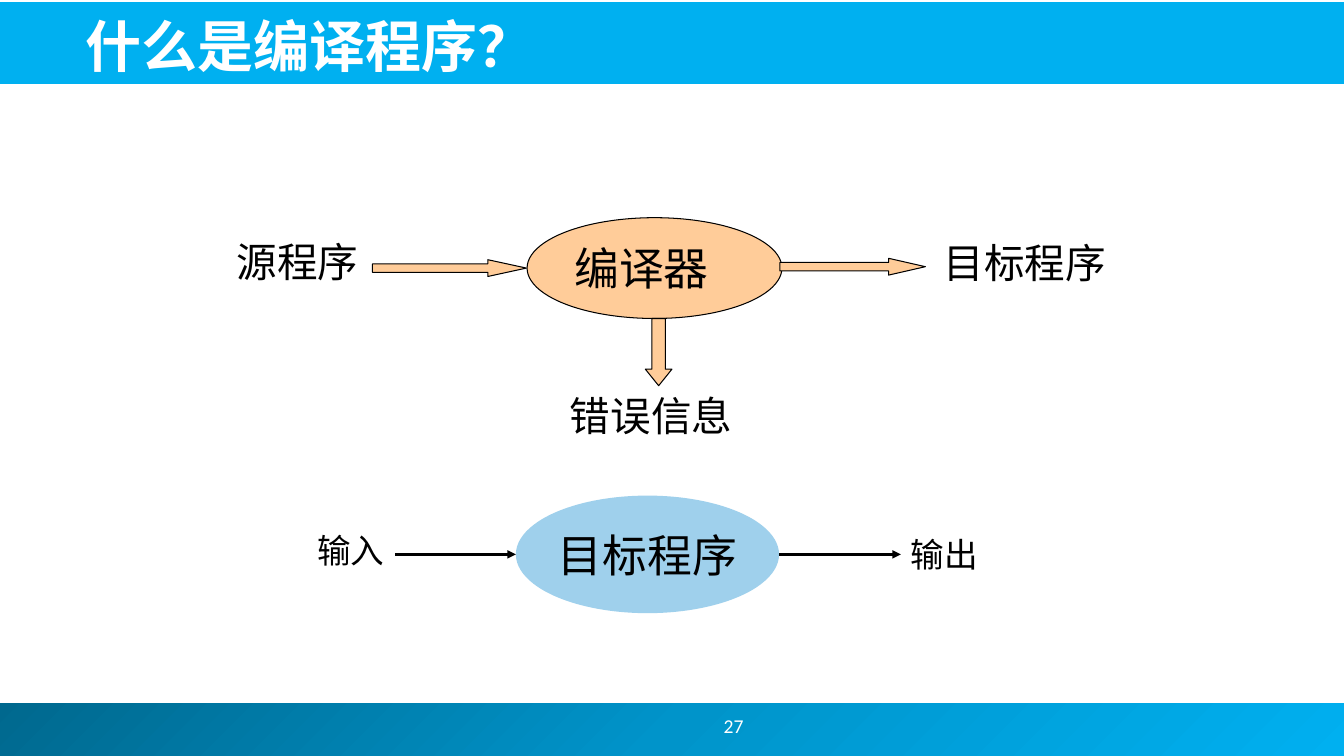
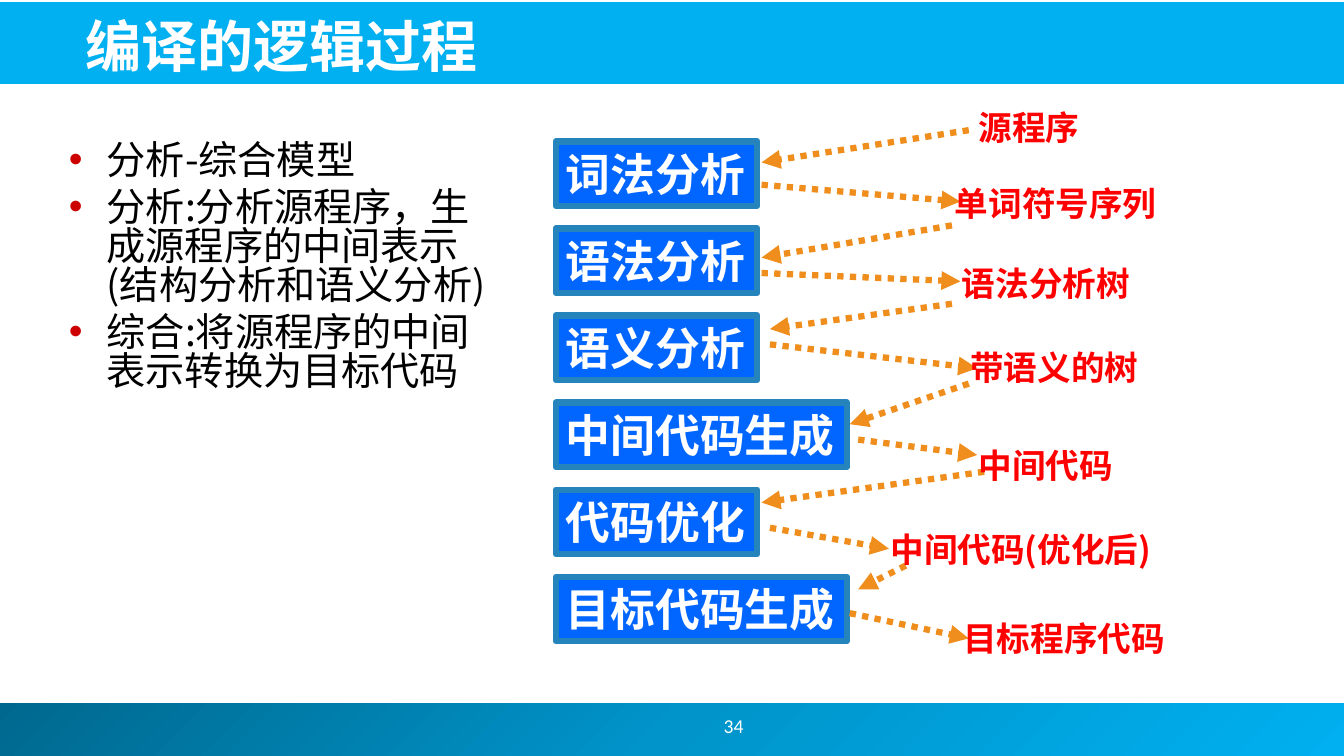
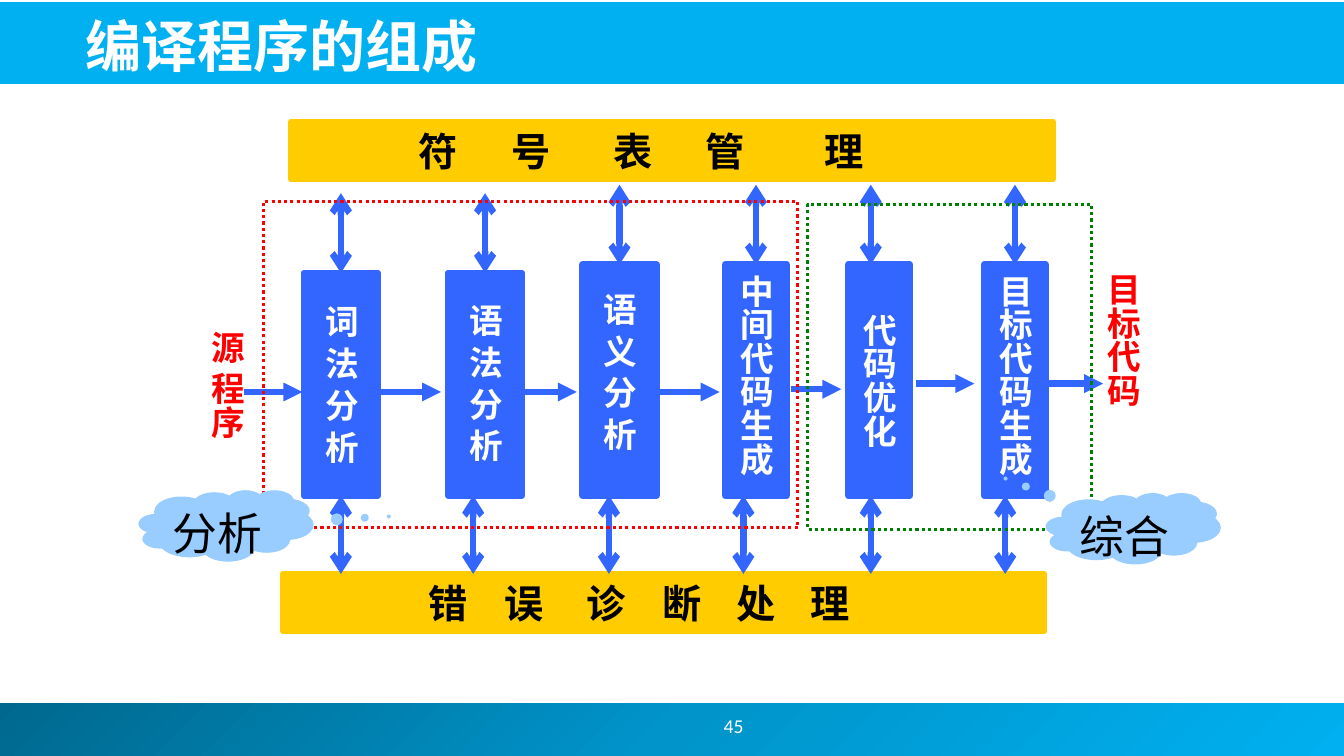
from lxml import etree
from pptx import Presentation
from pptx.dml.color import RGBColor
from pptx.enum.dml import MSO_LINE
from pptx.enum.shapes import MSO_CONNECTOR, MSO_SHAPE
from pptx.enum.text import MSO_ANCHOR, MSO_AUTO_SIZE, PP_ALIGN
from pptx.oxml.ns import qn
from pptx.util import Pt

RECT, OVAL, CLOUD = MSO_SHAPE.RECTANGLE, MSO_SHAPE.OVAL, MSO_SHAPE.CLOUD_CALLOUT
RIGHT_ARROW, DOWN_ARROW = MSO_SHAPE.RIGHT_ARROW, MSO_SHAPE.DOWN_ARROW
STRAIGHT, DOTTED = MSO_CONNECTOR.STRAIGHT, MSO_LINE.ROUND_DOT
LEFT, CENTER = PP_ALIGN.LEFT, PP_ALIGN.CENTER
TOP, MIDDLE = MSO_ANCHOR.TOP, MSO_ANCHOR.MIDDLE
NO_AUTOFIT = MSO_AUTO_SIZE.NONE
SIDE_TOP, SIDE_BOTTOM = 0, 2
TITLE_ONLY, TITLE_AND_BODY = 5, 1

WIDTH, HEIGHT = 960, 540
JP, SC, SANS = "Noto Sans CJK JP", "Noto Sans CJK SC", "Noto Sans"
SERIF, LATIN = "Times New Roman", "Calibri"
WHITE, BLACK, RED, GREEN = "FFFFFF", "000000", "FF0000", "008000"
SKY, PEACH, PALE_BLUE, CLOUD_BLUE = "00B0F0", "FFCC99", "9FD0EC", "99CCFF"
PHASE_BLUE, PHASE_EDGE, ORANGE = "0066FF", "2584BB", "EF8E1C"
MODULE_BLUE, YELLOW, BULLET_RED = "3366FF", "FFCC00", "CC0000"
FOOTER_STOPS = ((0, "00688E"), (50, "0094CA"), (100, SKY))


def color(hex_string):
    return RGBColor.from_string(hex_string)


def place(item, x, y, w, h):
    item.left, item.top, item.width, item.height = Pt(x), Pt(y), Pt(w), Pt(h)


def write(item, text, size=24, ink=BLACK, font=JP, bold=False, align=LEFT,
          anchor=MIDDLE, wrap=True, vertical=False, indent=0, tabs=(),
          bullet=None, spacing=None, gap=0):
    """Fill a shape with one paragraph for each line of text."""
    frame = item.text_frame
    frame.auto_size = NO_AUTOFIT
    frame.word_wrap = wrap
    frame.vertical_anchor = anchor
    if vertical:
        frame._txBody.bodyPr.set("vert", "eaVert")
    for index, line in enumerate(text.split("\n")):
        paragraph = frame.add_paragraph() if index else frame.paragraphs[0]
        properties = paragraph._p.get_or_add_pPr()
        if indent:
            properties.set("marL", str(Pt(indent)))
        if bullet:
            tint = etree.SubElement(properties, qn("a:buClr"))
            etree.SubElement(tint, qn("a:srgbClr"), val=bullet)
            etree.SubElement(properties, qn("a:buChar"), char="•")
        if tabs:
            stops = etree.SubElement(properties, qn("a:tabLst"))
            for stop in tabs:
                etree.SubElement(stops, qn("a:tab"), pos=str(Pt(stop)), algn="l")
        paragraph.alignment = align
        paragraph.space_before = Pt(gap if index else 0)
        if spacing:
            paragraph.line_spacing = spacing
        run = paragraph.add_run()
        run.text = line
        run.font.name, run.font.size, run.font.bold = font, Pt(size), bold
        run.font.color.rgb = color(ink)
        east_asian = etree.Element(qn("a:ea"), typeface=SC)
        run._r.rPr.find(qn("a:latin")).addnext(east_asian)
    return item


def shape(slide, kind, x, y, w, h, fill=None, edge=None, edge_width=0.75,
          dash=None, adjust=()):
    item = slide.shapes.add_shape(kind, Pt(x), Pt(y), Pt(w), Pt(h))
    item.shadow.inherit = False
    if fill:
        item.fill.solid()
        item.fill.fore_color.rgb = color(fill)
    else:
        item.fill.background()
    if edge:
        item.line.color.rgb = color(edge)
        item.line.width = Pt(edge_width)
        if dash:
            item.line.dash_style = dash
    else:
        item.line.fill.background()
    for index, value in enumerate(adjust):
        item.adjustments[index] = value
    return item


def label(slide, text, x, y, w, h, **style):
    return write(slide.shapes.add_textbox(Pt(x), Pt(y), Pt(w), Pt(h)), text, **style)


def arrow(slide, x1, y1, x2, y2, ink, width=4.5, dash=None, tail="triangle", head=None):
    link = slide.shapes.add_connector(STRAIGHT, Pt(x1), Pt(y1), Pt(x2), Pt(y2))
    link.line.color.rgb = color(ink)
    link.line.width = Pt(width)
    if dash:
        link.line.dash_style = dash
    stroke = link.line._get_or_add_ln()
    if head:
        etree.SubElement(stroke, qn("a:headEnd"), type=head)
    etree.SubElement(stroke, qn("a:tailEnd"), type=tail)
    etree.SubElement(link._element.spPr, qn("a:effectLst"))
    return link


def add_master_bands(deck, slide):
    """Draw the title and footer bands and hand them to the slide master."""
    footer = shape(slide, RECT, -3, 502.5, WIDTH + 4, 37.5, fill=SKY)
    footer.fill.gradient()
    footer.fill.gradient_angle = 315
    stops = footer._element.spPr.find(qn("a:gradFill")).find(qn("a:gsLst"))
    for old_stop in list(stops):
        stops.remove(old_stop)
    for percent, tint in FOOTER_STOPS:
        stop = etree.SubElement(stops, qn("a:gs"), pos=str(percent * 1000))
        etree.SubElement(stop, qn("a:srgbClr"), val=tint)
    header = shape(slide, RECT, -1, 1.5, WIDTH + 2, 58.5, fill=SKY)
    for band in (header, footer):
        deck.slide_master.shapes._spTree.insert(2, band._element)


def new_slide(deck, title, number, layout=TITLE_ONLY):
    slide = deck.slides.add_slide(deck.slide_layouts[layout])
    place(slide.shapes.title, 54, 3.5, 874, 57)
    write(slide.shapes.title, title, size=40, ink=WHITE, bold=True)
    label(slide, number, 420, 500, 208, 36, size=14, ink=WHITE, font=LATIN, align=CENTER)
    return slide


def compiler_flow(slide, left, top):
    block = {"fill": PEACH, "edge": BLACK}
    compiler = shape(slide, OVAL, left + 214.5, top, 182, 72, **block)
    write(compiler, "编译器", size=32, font=SANS)
    for kind, x, y, w, h, adjust in (
            (RIGHT_ARROW, 104, 30, 110, 12, (0.5, 2.3)),
            (RIGHT_ARROW, 395, 29, 104, 12, (0.5, 2.19)),
            (DOWN_ARROW, 299, 72, 19, 48, (0.5, 0.62))):
        shape(slide, kind, left + x, top + y, w, h, adjust=adjust, **block)
    for text, x, y, w in (("源程序", 0, 10, 110), ("目标程序", 505, 11, 156),
                          ("错误信息", 238, 120, 136)):
        label(slide, text, left + x, top + y, w, 42, size=29, font=SERIF)


def execution_flow(slide, left, top):
    program = shape(slide, OVAL, left + 149, top, 188, 84, fill=PALE_BLUE)
    write(program, "目标程序", size=32, align=CENTER, wrap=False)
    for start, end in ((63, 149), (337, 424)):
        arrow(slide, left + start, top + 42, left + end, top + 42, BLACK, width=2)
    for text, x, y in (("输入", 0, 21), ("输出", 424, 24)):
        label(slide, text, left + x, top + y, 64, 36, wrap=False)


def model_list(slide, left, top, width, height):
    body = slide.placeholders[1]
    place(body, left, top, width, height)
    write(body, "分析-综合模型\n"
                "分析:分析源程序，生成源程序的中间表示(结构分析和语义分析)\n"
                "综合:将源程序的中间表示转换为目标代码",
          size=28, anchor=TOP, bullet=BULLET_RED, spacing=0.83, gap=5.6)


def phase_chain(slide, left, top):
    # phase, box width, arrow into it, arrow out of it
    phases = (
        ("词法分析", 144, (296, 20, 148, 43), (148, 59, 290, 71)),
        ("语法分析", 144, (284, 88, 148, 111), (148, 122, 290, 128)),
        ("语义分析", 144, (284, 144, 154, 162), (154, 173, 302, 190)),
        ("中间代码生成", 208, (296, 201, 211, 230), (217, 241, 302, 252)),
        ("代码优化", 144, (307, 264, 148, 286), (154, 304, 239, 319)),
        ("目标代码生成", 208, (251, 331, 217, 348), (211, 365, 296, 383)),
    )
    products = (
        ("源程序", 296, 0, 86), ("单词符号序列", 279, 54, 158),
        ("语法分析树", 284, 111, 134), ("带语义的树", 290, 171, 134),
        ("中间代码", 296, 241, 110), ("中间代码(优化后)", 233, 301, 222),
        ("目标程序代码", 285, 365, 158),
    )
    for index, (name, width, *flows) in enumerate(phases):
        phase = shape(slide, RECT, left + 1, top + 28 + 62.2 * index, width, 46,
                      fill=PHASE_BLUE, edge=PHASE_EDGE, edge_width=4.5)
        write(phase, name, size=32, ink=WHITE, bold=True, wrap=False)
        for x1, y1, x2, y2 in flows:
            arrow(slide, left + x1, top + y1, left + x2, top + y2, ORANGE, dash=DOTTED)
    for text, x, y, width in products:
        label(slide, text, left + x, top + y, width, 36, ink=RED, font=SC,
              bold=True, wrap=False)


def service_bar(slide, left, top, text, tabs):
    bar = shape(slide, RECT, left, top, 544, 41, fill=YELLOW, edge=YELLOW, edge_width=4.5)
    write(bar, "".join("\t" + letter for letter in text), size=28, bold=True, tabs=tabs)


def module_column(slide, left, top, module):
    """Draw one module with its arrows to the symbol table and error handling."""
    name, x, y, width, indent, upper_x, lower_x = module
    bottom = 267
    box = shape(slide, RECT, left + x, top + y, width, bottom - y,
                fill=MODULE_BLUE, edge=MODULE_BLUE, edge_width=4.5)
    write(box, name, ink=WHITE, bold=True, vertical=True, indent=indent)
    middle = x + width / 2
    for link_x, near, far, side in ((upper_x, y, y - 57, SIDE_TOP),
                                    (lower_x, bottom, bottom + 56, SIDE_BOTTOM)):
        joined = abs(link_x - middle) <= 4
        line_x = left + (middle if joined else link_x)
        link = arrow(slide, line_x, top + near, line_x, top + far, MODULE_BLUE,
                     head="arrow", tail="arrow")
        if joined:
            link.begin_connect(box, side)


def compiler_parts(slide, left, top):
    # name, x, y, width, text indent, x of upper arrow, x of lower arrow
    modules = (
        ("词 法 分 析", 118, 108, 53, 16, 143, 143),
        ("语 法 分 析", 221, 108, 53, 15, 245, 239),
        ("语 义 分 析", 317, 102, 53, 13, 347, 336),
        ("中间代码生成", 419, 102, 44, 0, 443, 432),
        ("代码优化", 507, 102, 44, 28, 523, 523),
        ("目标代码生成", 604, 102, 44, 0, 625, 619),
    )
    flows = ((75, 117, 193), (171, 216, 193), (273, 313, 193), (370, 415, 193),
             (466, 502, 191), (555, 597, 187), (648, 689, 187))
    service_bar(slide, left + 109, top, "符号表管理", (84, 150, 223, 289, 374))
    service_bar(slide, left + 103, top + 323, "错误诊断处理",
                (97, 151, 210, 264, 317, 370))
    for module in modules:
        module_column(slide, left, top, module)
    for text, x, y, height in (("目标代码", 681, 101, 137), ("源 程序", 41, 142, 114)):
        label(slide, text, left + x, top + y, 44, height, ink=RED, bold=True, vertical=True)
    for start, end, y in flows:
        arrow(slide, left + start, top + y, left + end, top + y, MODULE_BLUE)
    for x, y, width, height, edge in ((89, 57, 382, 233, RED), (478, 59, 203, 232, GREEN)):
        shape(slide, RECT, left + x, top + y, width, height, edge=edge,
              edge_width=2.25, dash=DOTTED)
    for text, x, y, adjust in (("分析", 0, 263, (0.93, -0.13)),
                               ("综合", 648, 265, (-0.73, -0.7))):
        cloud = shape(slide, CLOUD, left + x, top + y, 125, 51, fill=CLOUD_BLUE,
                      adjust=adjust)
        write(cloud, text, size=32, font=SANS, anchor=TOP)


def main():
    deck = Presentation()
    deck.slide_width, deck.slide_height = Pt(WIDTH), Pt(HEIGHT)

    definition = new_slide(deck, "什么是编译程序？", "27")
    add_master_bands(deck, definition)
    compiler_flow(definition, 162, 155.5)
    execution_flow(definition, 219.5, 354)

    process = new_slide(deck, "编译的逻辑过程", "34", TITLE_AND_BODY)
    model_list(process, 42, 99, 324, 366)
    phase_chain(process, 396, 73)

    structure = new_slide(deck, "编译程序的组成", "45")
    compiler_parts(structure, 99, 87)

    deck.save("out.pptx")


if __name__ == "__main__":
    main()
